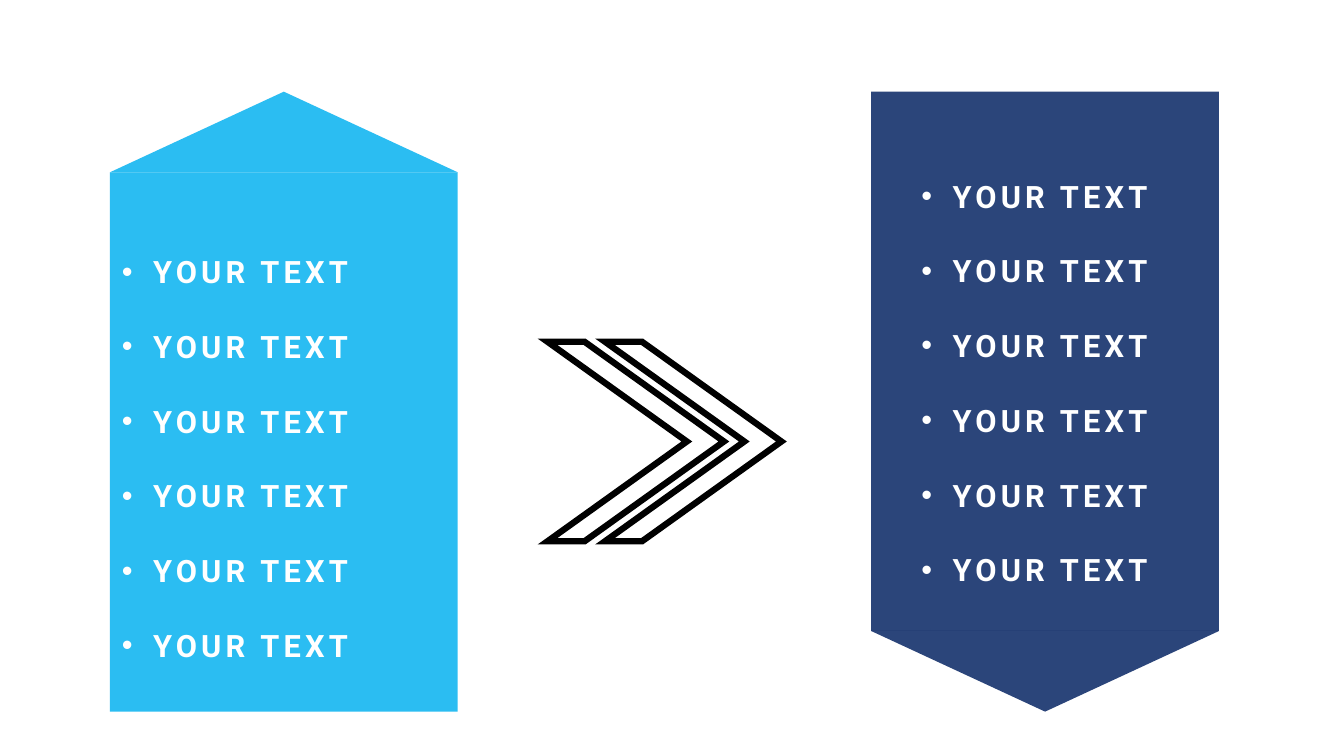
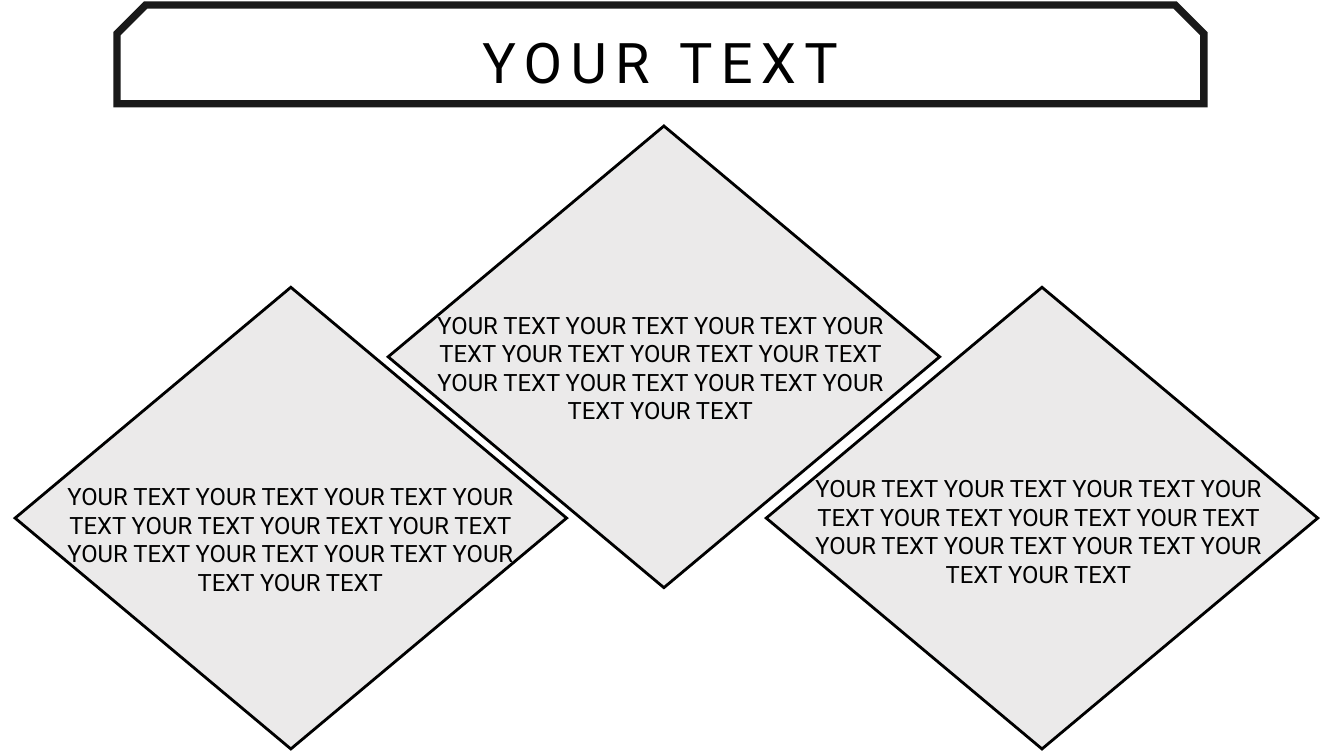
import pptx
import pptx.util
import pptx.dml.color
import pptx.enum.shapes
import pptx.enum.text
import pptx.oxml
import pptx.oxml.ns
from lxml import etree

Inches, Pt = pptx.util.Inches, pptx.util.Pt
SHAPES = pptx.enum.shapes.MSO_SHAPE
ALIGN = pptx.enum.text.PP_ALIGN
ANCHOR = pptx.enum.text.MSO_ANCHOR
qn = pptx.oxml.ns.qn

# Content
PHRASE = "YOUR TEXT"
BULLETS = [PHRASE] * 6
BODY = " ".join([PHRASE] * 12)

# Shared look
FONT = "Roboto"
COLORS = {"black": "000000", "white": "FFFFFF", "sky": "00B0F0",
          "navy": "002060", "gray": "E7E6E6"}

# Slide 1: banner width, body height, point height
BANNER_W, BANNER_H, POINT_H = 3.45, 5.35, 0.8
BANNER_TOP = 0.91
BANNERS = [
    {"left": 1.09, "color": "sky", "points_up": True, "text_at": (1.11, 2.46)},
    {"left": 8.64, "color": "navy", "points_up": False, "text_at": (9.04, 1.71)},
]
CHEVRON_LEFTS = (5.43, 6)

# Slide 2: diamond position and text position
DIAMONDS = [
    {"at": (0.15, 2.85), "text_at": (0.4, 4.73)},
    {"at": (3.85, 1.25), "text_at": (4.07, 3.03)},
    {"at": (7.6, 2.85), "text_at": (7.82, 4.65)},
]
FRAME = (1.16, 0.05, 10.78, 0.98)
FRAME_SNIP = 0.29


def paint(color_format, name):
    color_format.rgb = pptx.dml.color.RGBColor.from_string(COLORS[name])


def set_alpha(parent, percent):
    color = parent.find(qn("a:solidFill")).find(qn("a:srgbClr"))
    etree.SubElement(color, qn("a:alpha")).set("val", str(percent * 1000))


def add_shape(slide, kind, box, fill=None, fill_alpha=100, line_width=0,
              line_alpha=100, adjustments=()):
    shape = slide.shapes.add_shape(kind, *map(Inches, box))
    shape.shadow.inherit = False
    for index, value in enumerate(adjustments):
        shape.adjustments[index] = value
    properties = shape._element.spPr
    if fill:
        shape.fill.solid()
        paint(shape.fill.fore_color, fill)
        if fill_alpha < 100:
            set_alpha(properties, fill_alpha)
    else:
        shape.fill.background()
    if line_width:
        shape.line.width = Pt(line_width)
        shape.line.fill.solid()
        paint(shape.line.fill.fore_color, "black")
        outline = properties.find(qn("a:ln"))
        if line_alpha < 100:
            set_alpha(outline, line_alpha)
        etree.SubElement(outline, qn("a:miter")).set("lim", "800000")
    else:
        shape.line.fill.background()
    return shape


def add_bullet(paragraph, indent=0.31):
    properties = paragraph._p.get_or_add_pPr()
    properties.set("marL", str(Inches(indent)))
    properties.set("indent", str(-Inches(indent)))
    etree.SubElement(properties, qn("a:buFont")).set("typeface", "Arial")
    etree.SubElement(properties, qn("a:buChar")).set("char", "•")


def write(frame, lines, size=17, color="black", bold=False, spacing=0,
          align=ALIGN.LEFT, anchor=ANCHOR.TOP, bullets=False, gap=0):
    frame.word_wrap = True
    frame.auto_size = pptx.enum.text.MSO_AUTO_SIZE.NONE
    frame.vertical_anchor = anchor
    for index, line in enumerate(lines):
        paragraph = frame.add_paragraph() if index else frame.paragraphs[0]
        paragraph.alignment = align
        if index and gap:
            paragraph.space_before = Pt(gap)
        if bullets:
            add_bullet(paragraph)
        run = paragraph.add_run()
        run.text = line
        run.font.name = FONT
        run.font.size = Pt(size)
        run.font.bold = bold
        paint(run.font.color, color)
        if spacing:
            run._r.get_or_add_rPr().set("spc", str(spacing * 100))


def add_text(slide, box, lines, **text_format):
    write(slide.shapes.add_textbox(*map(Inches, box)).text_frame, lines, **text_format)


def build_banners(presentation):
    slide = presentation.slides.add_slide(presentation.slide_layouts[6])
    # Double arrow
    for left in CHEVRON_LEFTS:
        add_shape(slide, SHAPES.CHEVRON, (left, 3.39, 1.75, 1.98), fill="white",
                  line_width=4.5, adjustments=[0.79])
    # Banners with a pointed end
    for banner in BANNERS:
        up = banner["points_up"]
        body_top = BANNER_TOP + (POINT_H if up else 0)
        point_top = BANNER_TOP + (0 if up else BANNER_H)
        look = {"fill": banner["color"], "fill_alpha": 83}
        add_shape(slide, SHAPES.RECTANGLE,
                  (banner["left"], body_top, BANNER_W, BANNER_H), **look)
        point = add_shape(slide, SHAPES.ISOSCELES_TRIANGLE,
                          (banner["left"], point_top, BANNER_W, POINT_H), **look)
        point.rotation = 0 if up else 180
        add_text(slide, (*banner["text_at"], 3.4, 4.17), BULLETS, size=22,
                 color="white", bold=True, spacing=3, bullets=True, gap=27)


def build_diamonds(presentation):
    slide = presentation.slides.add_slide(presentation.slide_layouts[5])
    # Diamonds, then their text on top
    for diamond in DIAMONDS:
        add_shape(slide, SHAPES.DIAMOND, (*diamond["at"], 5.47, 4.58),
                  fill="gray", fill_alpha=81, line_width=2)
    for diamond in DIAMONDS:
        add_text(slide, (*diamond["text_at"], 4.96, 1.25), [BODY], align=ALIGN.CENTER)
    # Title inside a frame with snipped corners
    add_shape(slide, SHAPES.SNIP_2_SAME_RECTANGLE, FRAME, line_width=5.25,
              line_alpha=90, adjustments=[FRAME_SNIP, 0])
    left, top, width, height = FRAME
    inset = height * FRAME_SNIP / 2
    title = slide.shapes.title
    title.left, title.top = Inches(left), Inches(top + inset)
    title.width, title.height = Inches(width), Inches(height - inset)
    write(title.text_frame, [PHRASE], size=40, spacing=6,
          align=ALIGN.CENTER, anchor=ANCHOR.MIDDLE)


def main():
    presentation = pptx.Presentation()
    presentation.slide_width = Inches(13.33)
    presentation.slide_height = Inches(7.5)
    build_banners(presentation)
    build_diamonds(presentation)
    presentation.save("out.pptx")


if __name__ == "__main__":
    main()
